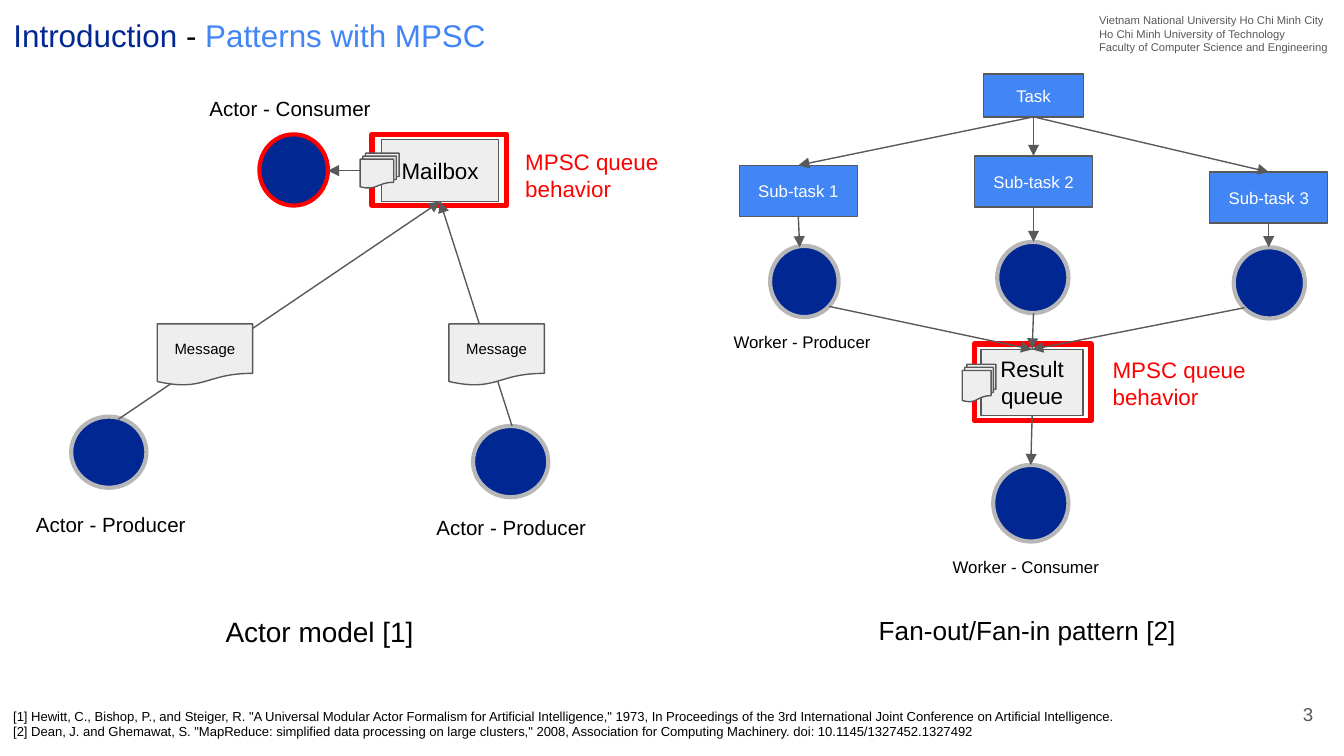
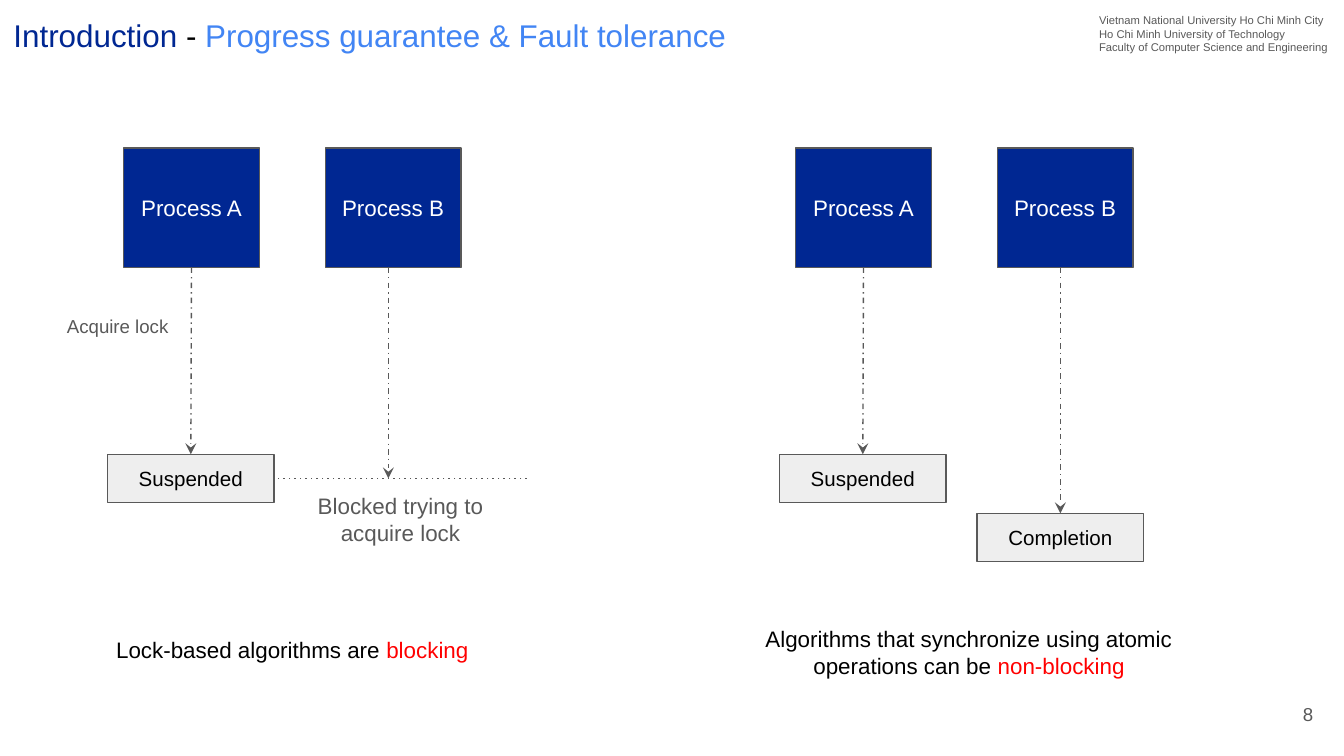
from dataclasses import dataclass
from lxml.etree import SubElement
from pptx import Presentation
from pptx.dml.color import RGBColor
from pptx.enum.shapes import MSO_CONNECTOR, MSO_SHAPE
from pptx.enum.text import MSO_ANCHOR, MSO_AUTO_SIZE, PP_ALIGN
from pptx.oxml.ns import qn
from pptx.util import Inches, Pt

FONT = "Arial"
NAVY, BLUE, RED = "002792", "4285F4", "FF0000"
BLACK, WHITE = "000000", "FFFFFF"
DARK, MID, PALE = "595959", "B7B7B7", "EEEEEE"
LEFT, MIDST, RIGHT = PP_ALIGN.LEFT, PP_ALIGN.CENTER, PP_ALIGN.RIGHT
RECT, OVAL = MSO_SHAPE.RECTANGLE, MSO_SHAPE.OVAL
NOTE, STACK = MSO_SHAPE.FLOWCHART_DOCUMENT, MSO_SHAPE.FLOWCHART_MULTIDOCUMENT
TOP, WEST, BASE, EAST = range(4)  # sides of a rectangle


def tint(code):
    return RGBColor.from_string(code)


def plain(text, color):
    """One paragraph per line of text, all in one colour."""
    return [[(line, color)] for line in text.split("\n")]


def write(shape, paras, size, align, anchor):
    frame = shape.text_frame
    frame.word_wrap = True
    frame.vertical_anchor = anchor
    frame.margin_left = frame.margin_right = Inches(0.1)
    frame.margin_top = frame.margin_bottom = Inches(0.1)
    for i, runs in enumerate(paras):
        para = frame.add_paragraph() if i else frame.paragraphs[0]
        para.alignment = align
        for text, color in runs:
            run = para.add_run()
            run.text = text
            run.font.name = FONT
            run.font.size = Pt(size)
            run.font.color.rgb = tint(color)


@dataclass
class Area:
    """A region of a slide; everything is placed from its top left corner."""
    slide: object
    x: float = 0
    y: float = 0

    def spot(self, x, y):
        return Inches(self.x + x), Inches(self.y + y)

    def shape(self, kind, x, y, w, h, fill=None, edge=DARK, width=0.75,
              text="", size=12, color=BLACK):
        item = self.slide.shapes.add_shape(
            kind, *self.spot(x, y), Inches(w), Inches(h))
        item.shadow.inherit = False
        if fill:
            item.fill.solid()
            item.fill.fore_color.rgb = tint(fill)
        else:
            item.fill.background()
        item.line.color.rgb = tint(edge)
        item.line.width = Pt(width)
        if text:
            write(item, plain(text, color), size, MIDST, MSO_ANCHOR.MIDDLE)
        return item

    def node(self, x, y, w, h, edge=MID):
        return self.shape(OVAL, x, y, w, h, NAVY, edge, 2.25)

    def frame(self, x, y, w, h):
        return self.shape(RECT, x, y, w, h, edge=RED, width=3)

    def label(self, x, y, w, h, paras, size, color=BLACK, align=LEFT):
        box = self.slide.shapes.add_textbox(
            *self.spot(x, y), Inches(w), Inches(h))
        if isinstance(paras, str):
            paras = plain(paras, color)
        write(box, paras, size, align, MSO_ANCHOR.TOP)
        box.text_frame.auto_size = MSO_AUTO_SIZE.SHAPE_TO_FIT_TEXT
        return box

    def line(self, start, end, head="triangle", dash=None):
        """Each end is a point (x, y) or a pair (shape, side)."""
        ends = [start, end]
        fixed = [not isinstance(p[0], (int, float)) for p in ends]
        spots = [(0, 0) if f else self.spot(*p) for p, f in zip(ends, fixed)]
        link = self.slide.shapes.add_connector(
            MSO_CONNECTOR.STRAIGHT, *spots[0], *spots[1])
        if fixed[0]:
            link.begin_connect(*start)
        if fixed[1]:
            link.end_connect(*end)
        link.line.color.rgb = tint(DARK)
        link.line.width = Pt(0.75)
        pen = link._element.spPr.find(qn("a:ln"))
        if dash:
            SubElement(pen, qn("a:prstDash"), val=dash)
        if head:
            SubElement(pen, qn("a:tailEnd"), type=head)
        SubElement(link._element.spPr, qn("a:effectLst"))


def base(deck, topic, width, number):
    """Title, school name and page number."""
    slide = deck.slides.add_slide(deck.slide_layouts[5])
    title = slide.shapes.title
    title.left, title.top = Inches(0), Inches(0)
    title.width, title.height = Inches(width), Inches(0.5)
    runs = [("Introduction ", NAVY), ("- ", BLACK), (topic, BLUE)]
    write(title, [runs], 16.8, LEFT, MSO_ANCHOR.BOTTOM)
    title.text_frame.auto_size = MSO_AUTO_SIZE.NONE

    page = Area(slide)
    page.label(8.08, 0, 1.9, 0.5,
               "Vietnam National University Ho Chi Minh City\n"
               "Ho Chi Minh University of Technology\n"
               "Faculty of Computer Science and Engineering", 6, DARK)
    box = page.label(9.27, 5.1, 0.6, 0.43, str(number), 10, DARK, RIGHT)
    box.text_frame.auto_size = MSO_AUTO_SIZE.NONE
    box.text_frame.vertical_anchor = MSO_ANCHOR.MIDDLE
    return slide


def actor(area):
    """Two producers send messages to the consumer's mailbox."""
    area.frame(2.77, 0.5, 1, 0.53)
    area.node(1.93, 0.5, 0.51, 0.53, RED)
    area.label(1.46, 0.12, 1.45, 0.39, "Actor - Consumer", 11)
    box = area.shape(RECT, 2.84, 0.54, 0.87, 0.46, PALE, text="Mailbox")
    area.line((box, WEST), (2.44, 0.77))
    area.shape(STACK, 2.68, 0.64, 0.29, 0.26, PALE)
    area.label(3.81, 0.5, 1.4, 0.61, "MPSC queue behavior", 12, RED)

    # Producers: node, start of arrow, message, label
    for node, start, note, label in (
            ((0.53, 2.6), (0.88, 2.62), 1.17, (0.1, 3.22)),
            ((3.52, 2.67), (3.81, 2.67), 3.34, (3.08, 3.24))):
        area.node(*node, 0.56, 0.53)
        area.line(start, (box, BASE))
        area.shape(NOTE, note, 1.91, 0.71, 0.46, PALE, text="Message", size=8)
        area.label(*label, 1.45, 0.39, "Actor - Producer", 11, align=MIDST)
    area.label(1.58, 3.97, 1.96, 0.45, "Actor model [1]", 15)


def fan(area):
    """A task splits into sub-tasks whose results meet in one queue."""
    area.frame(2.25, 2.06, 0.87, 0.57)
    task = area.shape(RECT, 2.32, 0.05, 0.74, 0.32, BLUE,
                      text="Task", size=9, color=WHITE)
    queue = area.shape(RECT, 2.3, 2.1, 0.76, 0.49, PALE, text="Result\nqueue")
    area.shape(STACK, 2.16, 2.21, 0.25, 0.28, PALE)

    # Workers: top of sub-task, node, arrow into node, arrow out of node
    workers = (
        (0.73, (0.73, 1.33, 0.51, 0.53), (0.95, 1.34), (1.17, 1.78)),
        (0.66, (2.42, 1.3, 0.53, 0.53), (2.69, 1.3), (2.69, 1.83)),
        (0.78, (4.18, 1.34, 0.53, 0.53), (4.44, 1.34), (4.26, 1.79)))
    for i, (top, node, into, out) in enumerate(workers):
        sub = area.shape(RECT, 0.5 + 1.75 * i, top, 0.88, 0.38, BLUE,
                         text=f"Sub-task {i + 1}", size=9, color=WHITE)
        area.node(*node)
        area.line((task, BASE), (sub, TOP))
        area.line((sub, BASE), into)
        area.line(out, (queue, TOP))

    area.node(2.39, 2.96, 0.56, 0.57)
    area.line((queue, BASE), (2.67, 2.96))
    area.label(0.36, 1.89, 1.27, 0.35, "Worker - Producer", 9)
    area.label(1.99, 3.57, 1.4, 0.35, "Worker - Consumer", 9)
    area.label(3.18, 2.05, 1.21, 0.61, "MPSC queue behavior", 12, RED)
    area.label(1.44, 3.97, 2.83, 0.44, "Fan-out/Fan-in pattern [2]", 14)


def state(area, x, y, text):
    return area.shape(RECT, x, y, 1.24, 0.36, PALE, text=text, size=11)


def pair(area):
    """Processes A and B, with A suspended."""
    first, _ = [area.shape(RECT, 0.92 + 1.5 * i, 0, 1.01, 0.89, NAVY,
                           text=f"Process {name}", color=WHITE)
                for i, name in enumerate("AB")]
    halt = state(area, 0.8, 2.28, "Suspended")
    area.line((first, BASE), (halt, TOP), "stealth", "dashDot")
    return halt


def locked(area):
    """B waits for the lock that A holds."""
    halt = pair(area)
    area.line((3.92, 2.46), (halt, EAST), None, "dot")
    area.line((2.89, 0.89), (2.89, 2.46), "stealth", "dashDot")
    area.label(0.4, 1.16, 0.98, 0.37, "Acquire lock", 10, DARK)
    area.label(2.04, 2.46, 1.88, 0.61, "Blocked trying to acquire lock",
               12, DARK, MIDST)
    area.label(0.7, 3.53, 2.95, 0.4,
               [[("Lock-based algorithms are ", BLACK), ("blocking", RED)]],
               12, align=MIDST)


def free(area):
    """B completes although A is suspended."""
    pair(area)
    done = state(area, 2.27, 2.72, "Completion")
    area.line((2.89, 0.89), (done, TOP), "stealth", "dashDot")
    area.label(0.39, 3.45, 3.64, 0.61,
               [[("Algorithms that synchronize using atomic operations can be ",
                  BLACK), ("non-blocking", RED)]], 12, align=MIDST)


def main():
    deck = Presentation()
    deck.slide_width = Inches(10)
    deck.slide_height = Inches(10 * 9 / 16)

    # Patterns
    slide = base(deck, "Patterns with MPSC", 3.9, 3)
    actor(Area(slide, 0, 0.5))
    fan(Area(slide, 5, 0.5))
    Area(slide).label(
        0, 5.17, 10.03, 0.44,
        '[1] Hewitt, C., Bishop, P., and Steiger, R. "A Universal Modular '
        'Actor Formalism for Artificial Intelligence," 1973, In Proceedings '
        'of the 3rd International Joint Conference on Artificial '
        'Intelligence.\n'
        '[2] Dean, J. and Ghemawat, S. "MapReduce: simplified data processing '
        'on large clusters," 2008, Association for Computing Machinery. '
        'doi: 10.1145/1327452.1327492', 7)

    # Progress guarantee
    slide = base(deck, "Progress guarantee & Fault tolerance", 7.16, 8)
    locked(Area(slide, 0, 1.1))
    free(Area(slide, 5, 1.1))
    deck.save("out.pptx")


if __name__ == "__main__":
    main()
